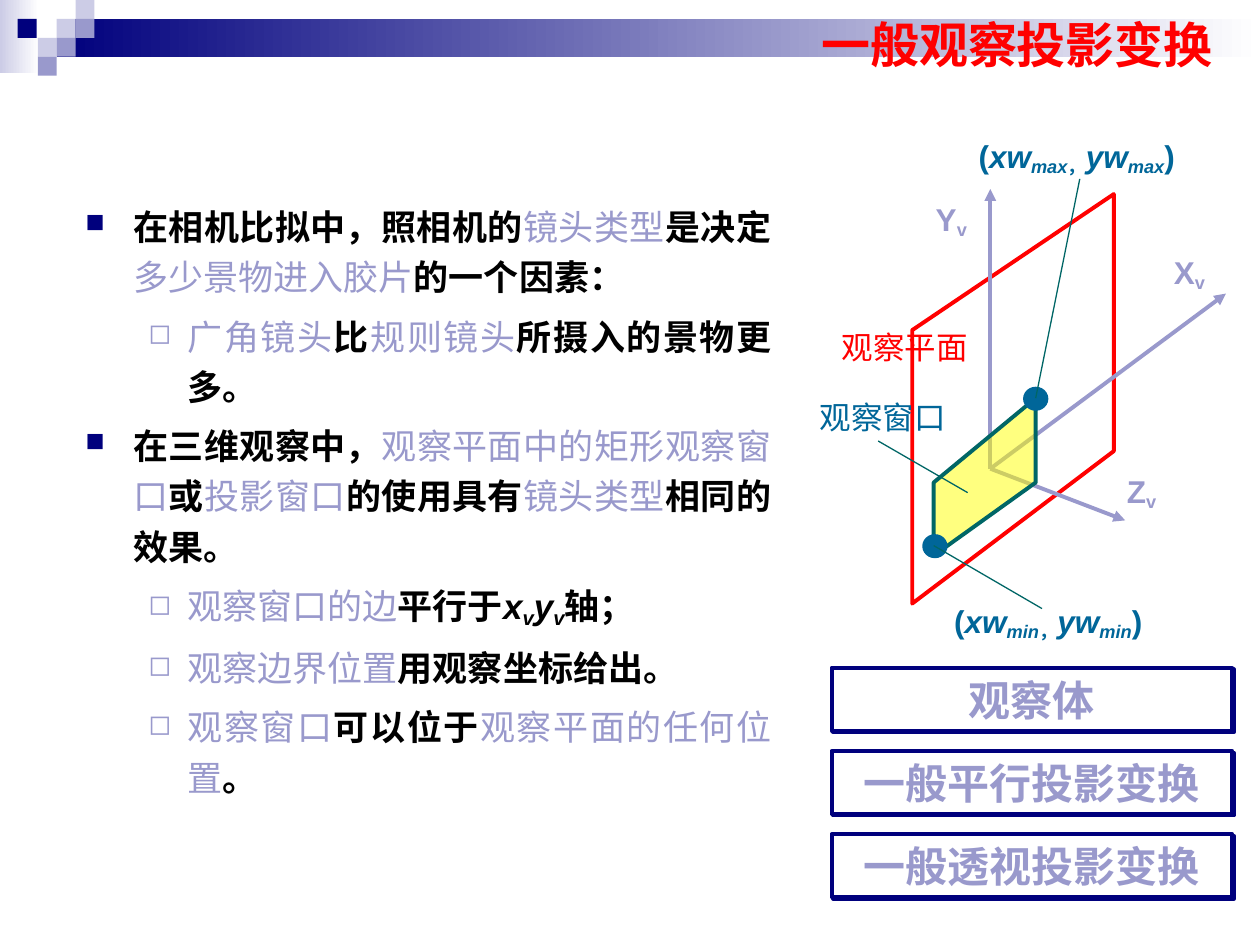
"""Build the slide on the general viewing projection transformation."""
from dataclasses import dataclass

import lxml.etree
import pptx
import pptx.dml.color
import pptx.enum.shapes
import pptx.enum.text
import pptx.oxml.ns
import pptx.util

Inches = pptx.util.Inches
Pt = pptx.util.Pt
Color = pptx.dml.color.RGBColor
Shape = pptx.enum.shapes.MSO_SHAPE
Align = pptx.enum.text.PP_ALIGN
Anchor = pptx.enum.text.MSO_ANCHOR
qn = pptx.oxml.ns.qn

NAVY = Color(0x00, 0x00, 0x7D)
LILAC = Color(0x99, 0x99, 0xCC)
PALE = Color(0xCC, 0xCC, 0xE6)
WHITE = Color(0xFF, 0xFF, 0xFF)
BLACK = Color(0x00, 0x00, 0x00)
RED = Color(0xFF, 0x00, 0x00)
BLUE = Color(0x00, 0x66, 0x99)
TEAL = Color(0x00, 0x66, 0x66)
YELLOW = Color(0xFF, 0xFF, 0x00)
LATIN = "Arial"
CHINESE = "Noto Sans CJK SC"

Point = tuple[float, float]


@dataclass
class Span:
    text: str
    color: Color = BLACK
    bold: bool = True
    italic: bool = False
    lowered: bool = False


@dataclass
class Bullet:
    mark: str
    color: Color
    percent: int
    indent: float
    hanging: float


@dataclass
class Label:
    left: float
    top: float
    width: float
    spans: list[Span]


@dataclass
class Line:
    start: Point
    end: Point
    color: Color
    width: float
    arrow: bool = False


def key(text: str) -> Span:
    return Span(text, LILAC, bold=False)


def axis_name(letter: str) -> list[Span]:
    return [Span(letter, LILAC), Span("v", LILAC, lowered=True)]


def corner_name(limit: str) -> list[Span]:
    x, y = ([Span(name, BLUE, italic=True), Span(limit, BLUE, italic=True, lowered=True)]
            for name in ("xw", "yw"))
    return [Span("(", BLUE), *x, Span("，", BLUE, lowered=True), *y, Span(")", BLUE)]


MAIN = Bullet("■", NAVY, 75, 0.38, 0.38)
SUB = Bullet("◻", LILAC, 80, 0.81, 0.31)

BODY = [
    (MAIN, [Span("在相机比拟中，照相机的"), key("镜头类型"), Span("是决定"),
            key("多少景物进入胶片"), Span("的一个因素：")]),
    (SUB, [key("广角镜头"), Span("比"), key("规则镜头"), Span("所摄入的景物更多。")]),
    (MAIN, [Span("在三维观察中，"), key("观察平面中的矩形观察窗口"), Span("或"),
            key("投影窗口"), Span("的使用具有"), key("镜头类型"), Span("相同的效果。")]),
    (SUB, [key("观察窗口的边"), Span("平行于"), Span("x", italic=True),
           Span("v", italic=True, lowered=True), Span("y", italic=True),
           Span("v", italic=True, lowered=True), Span("轴；")]),
    (SUB, [key("观察边界位置"), Span("用观察坐标给出。")]),
    (SUB, [key("观察窗口"), Span("可以位于"), key("观察平面的任何位置"), Span("。")]),
]

TILE = 0.15
TILES = [(0.45, 0.15, PALE), (0.6, 0, PALE), (0.6, 0.15, LILAC), (0.3, 0.3, PALE),
         (0.14, 0.15, NAVY), (0.45, 0.3, LILAC), (0.3, 0.45, LILAC)]

TOPICS = ["观察体", "一般平行投影变换", "一般透视投影变换"]

ORIGIN = (7.86, 3.72)
AXES = [Line(ORIGIN, end, LILAC, 2.25, True)
        for end in ((9.73, 2.33), (7.86, 1.5), (8.93, 4.13))]
LEADERS = [Line(start, end, TEAL, 0.75) for start, end in (
    ((7.41, 4.33), (8.27, 4.83)), ((8.22, 3.16), (8.57, 1.42)), ((6.97, 3.5), (7.68, 3.91)))]
VIEW_PLANE = [(7.24, 2.62), (7.24, 4.79), (8.84, 3.58), (8.84, 1.54)]
VIEW_WINDOW = [(8.22, 3.83), (8.22, 3.16), (7.41, 3.83), (7.41, 4.41)]
CORNERS = [(7.33, 4.25), (8.13, 3.08)]

LABELS = [
    Label(7.4, 1.04, 2.29, corner_name("max")),
    Label(8.75, 3.7, 0.62, axis_name("Z")),
    Label(9.11, 1.96, 0.66, axis_name("X")),
    Label(7.24, 1.54, 0.62, axis_name("Y")),
    Label(6.42, 2.55, 1.52, [Span("观察平面", RED, bold=False)]),
    Label(6.26, 3.11, 1.49, [Span("观察窗口", BLUE, bold=False)]),
    Label(7.22, 4.73, 2.2, corner_name("min")),
]


def write(para, spans: list[Span], size: float, latin: str = LATIN) -> None:
    para.font.size = Pt(size)
    para.font.name = latin
    for item in spans:
        span = para.add_run()
        span.text = item.text
        span.font.bold = item.bold
        span.font.italic = item.italic
        span.font.color.rgb = item.color
        properties = span.font._element
        lxml.etree.SubElement(properties, qn("a:ea"), typeface=CHINESE)
        if item.lowered:
            properties.set("baseline", "-16000")


def add_text(page, left: float, top: float, width: float, height: float, anchor=Anchor.TOP):
    box = page.shapes.add_textbox(Inches(left), Inches(top), Inches(width), Inches(height))
    box.text_frame.word_wrap = True
    box.text_frame.vertical_anchor = anchor
    return box.text_frame


def add_block(page, kind, left: float, top: float, width: float, height: float, color: Color):
    block = page.shapes.add_shape(kind, Inches(left), Inches(top), Inches(width), Inches(height))
    block.shadow.inherit = False
    block.fill.solid()
    block.fill.fore_color.rgb = color
    block.line.fill.background()
    return block


def add_fade(page, left: float, top: float, width: float, height: float, color: Color) -> None:
    band = add_block(page, Shape.RECTANGLE, left, top, width, height, color)
    band.fill.gradient()
    band.fill.gradient_angle = 0
    for stop, shade in zip(band.fill.gradient_stops, (color, WHITE)):
        stop.color.rgb = shade


def add_bullet(para, bullet: Bullet) -> None:
    properties = para._p.get_or_add_pPr()
    properties.set("marL", str(Inches(bullet.indent)))
    properties.set("indent", str(-Inches(bullet.hanging)))
    color = lxml.etree.SubElement(properties, qn("a:buClr"))
    lxml.etree.SubElement(color, qn("a:srgbClr"), val=str(bullet.color))
    lxml.etree.SubElement(properties, qn("a:buSzPct"), val=str(bullet.percent * 1000))
    lxml.etree.SubElement(properties, qn("a:buChar"), char=bullet.mark)


def add_body(page) -> None:
    frame = add_text(page, 0.58, 0.78, 5.64, 6.34, Anchor.MIDDLE)
    for index, (bullet, spans) in enumerate(BODY):
        para = frame.add_paragraph() if index else frame.paragraphs[0]
        para.alignment = Align.JUSTIFY
        para.line_spacing = 1.2
        para.space_before = Pt(5)
        add_bullet(para, bullet)
        write(para, spans, 20)


def add_topic(page, top: float, text: str) -> None:
    box = add_block(page, Shape.RECTANGLE, 6.6, top, 3.18, 0.5, WHITE)
    box.line.color.rgb = NAVY
    box.line.width = Pt(2.25)
    effects = box._element.spPr.find(qn("a:effectLst"))
    shadow = lxml.etree.SubElement(effects, qn("a:outerShdw"), dist=str(Pt(1.4)), dir="2700000")
    lxml.etree.SubElement(shadow, qn("a:srgbClr"), val=str(NAVY))
    para = box.text_frame.paragraphs[0]
    para.alignment = Align.CENTER
    write(para, [Span(text, LILAC)], 24, CHINESE)


def add_line(page, item: Line) -> None:
    ends = [Inches(value) for value in (*item.start, *item.end)]
    line = page.shapes.add_connector(pptx.enum.shapes.MSO_CONNECTOR.STRAIGHT, *ends)
    line.line.color.rgb = item.color
    line.line.width = Pt(item.width)
    if item.arrow:
        lxml.etree.SubElement(line.line._get_or_add_ln(), qn("a:tailEnd"), type="triangle")
    lxml.etree.SubElement(line._element.spPr, qn("a:effectLst"))


def add_outline(page, points: list[Point], color: Color):
    corners = [(Inches(x), Inches(y)) for x, y in points]
    builder = page.shapes.build_freeform(*corners[0])
    builder.add_line_segments(corners[1:], close=True)
    outline = builder.convert_to_shape()
    outline.shadow.inherit = False
    outline.fill.background()
    outline.line.color.rgb = color
    outline.line.width = Pt(2.25)
    return outline


def add_diagram(page) -> None:
    add_outline(page, VIEW_PLANE, RED)
    for axis in AXES:
        add_line(page, axis)
    window = add_outline(page, VIEW_WINDOW, TEAL)
    window.fill.solid()
    window.fill.fore_color.rgb = YELLOW
    tint = window._element.spPr.find(qn("a:solidFill"))[0]
    lxml.etree.SubElement(tint, qn("a:alpha"), val="50000")
    for left, top in CORNERS:
        dot = add_block(page, Shape.OVAL, left, top, 0.18, 0.17, BLUE)
        dot.line.color.rgb = BLUE
        dot.line.width = Pt(1.5)
    for label in LABELS:
        para = add_text(page, label.left, label.top, label.width, 0.42).paragraphs[0]
        para.alignment = Align.CENTER
        write(para, label.spans, 18)
    for leader in LEADERS:
        add_line(page, leader)


def main() -> None:
    deck = pptx.Presentation()
    deck.slide_width, deck.slide_height = Inches(10), Inches(7.5)
    page = deck.slides.add_slide(deck.slide_layouts[6])
    add_fade(page, 0, 0, 0.31, 0.58, PALE)
    add_fade(page, 0.45, 0.15, 9.55, 0.3, NAVY)
    for left, top, color in TILES:
        add_block(page, Shape.RECTANGLE, left, top, TILE, TILE, color)
    title = add_text(page, 6.42, 0.06, 3.5, 0.58, Anchor.MIDDLE)
    write(title.paragraphs[0], [Span("一般观察投影变换", RED)], 28)
    add_body(page)
    for index, text in enumerate(TOPICS):
        add_topic(page, 5.3 + 0.66 * index, text)
    add_diagram(page)
    deck.save("out.pptx")


if __name__ == "__main__":
    main()
